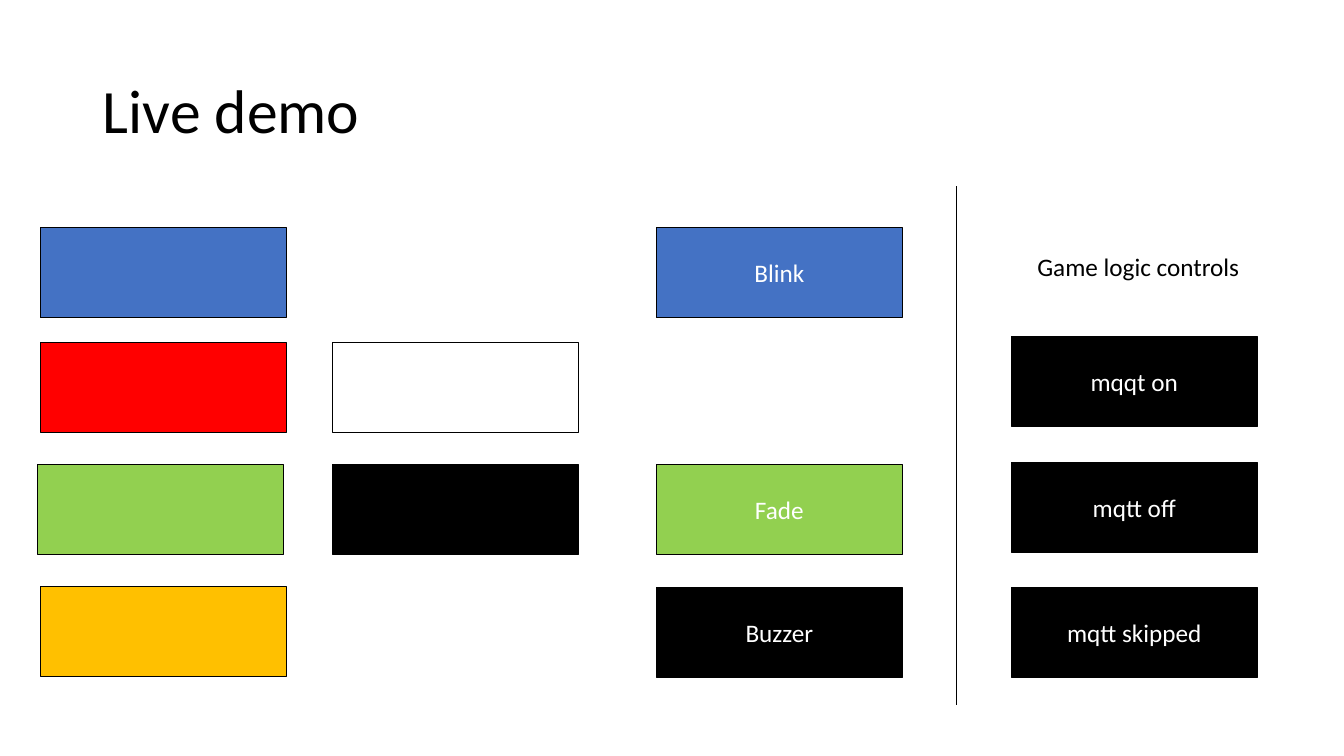
"""Build the live demo slide with its buttons and game controls."""
import pptx
import pptx.util
import pptx.dml.color
import pptx.enum.shapes
import pptx.enum.text
import pptx.oxml.ns
import lxml.etree

Inches = pptx.util.Inches
Align = pptx.enum.text.PP_ALIGN
Anchor = pptx.enum.text.MSO_ANCHOR
HUES = {"blue": "4472C4", "red": "FF0000", "green": "92D050",
        "gold": "FFC000", "white": "FFFFFF", "black": "000000"}


def tint(name):
    return pptx.dml.color.RGBColor.from_string(HUES[name])


def write(frame, text, size, hue, align):
    para = frame.paragraphs[0]
    para.alignment = align
    run = para.add_run()
    run.text = text
    run.font.name = "Calibri"
    run.font.size = pptx.util.Pt(size)
    run.font.color.rgb = tint(hue)
    return para


deck = pptx.Presentation()
deck.slide_width = Inches(13.33)
deck.slide_height = Inches(7.5)
slide = deck.slides.add_slide(deck.slide_layouts[5])
shapes = slide.shapes

title = shapes.title
title.left, title.top = Inches(0.92), Inches(0.4)
title.width, title.height = Inches(11.5), Inches(1.45)
title.text_frame.vertical_anchor = Anchor.MIDDLE
write(title.text_frame, "Live demo", 44, "black", Align.LEFT).line_spacing = 0.9

buttons = [
    (0.4, 2.26, "blue", ""),
    (0.4, 3.4, "red", ""),
    (0.37, 4.61, "green", ""),
    (0.4, 5.82, "gold", ""),
    (3.3, 3.4, "white", ""),
    (3.3, 4.61, "black", ""),
    (6.51, 2.26, "blue", "Blink"),
    (6.51, 4.61, "green", "Fade"),
    (6.51, 5.83, "black", "Buzzer"),
    (10.03, 3.34, "black", "mqqt on"),
    (10.03, 4.59, "black", "mqtt off"),
    (10.03, 5.83, "black", "mqtt skipped"),
]
for left, top, hue, text in buttons:
    button = shapes.add_shape(
        pptx.enum.shapes.MSO_SHAPE.ACTION_BUTTON_CUSTOM,
        Inches(left), Inches(top), Inches(2.44), Inches(0.89))
    button.shadow.inherit = False
    button.fill.solid()
    button.fill.fore_color.rgb = tint(hue)
    button.line.color.rgb = tint("black")
    button.line.width = pptx.util.Pt(1)
    if text:
        button.text_frame.vertical_anchor = Anchor.MIDDLE
        write(button.text_frame, text, 18, "white", Align.CENTER)

label = shapes.add_textbox(Inches(10.19), Inches(2.44), Inches(2.23), Inches(0.4))
label.text_frame.word_wrap = False
label.text_frame.auto_size = pptx.enum.text.MSO_AUTO_SIZE.SHAPE_TO_FIT_TEXT
write(label.text_frame, "Game logic controls", 18, "black", Align.LEFT)

rule = shapes.add_connector(pptx.enum.shapes.MSO_CONNECTOR.STRAIGHT,
                            Inches(9.49), Inches(1.85), Inches(9.49), Inches(6.99))
rule.line.color.rgb = tint("black")
rule.line.width = pptx.util.Pt(0.75)
props = rule.element.find(pptx.oxml.ns.qn("p:spPr"))
lxml.etree.SubElement(props, pptx.oxml.ns.qn("a:effectLst"))

deck.save("out.pptx")
